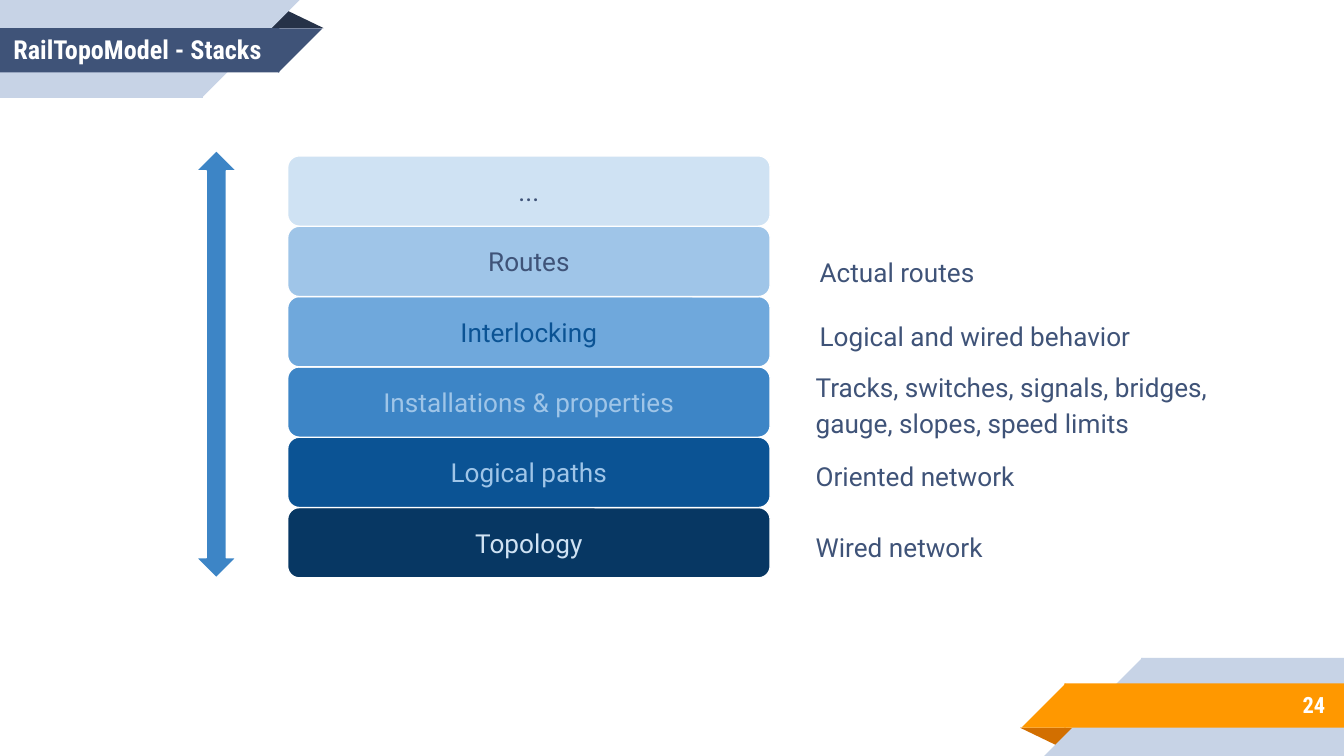
import pptx
import pptx.util
import pptx.dml.color
import pptx.enum.shapes
import pptx.enum.text

Inches = pptx.util.Inches
SHAPE = pptx.enum.shapes.MSO_SHAPE
ALIGN = pptx.enum.text.PP_ALIGN
ANCHOR = pptx.enum.text.MSO_ANCHOR

WIDTH = 10
HEIGHT = WIDTH * 9 / 16
INK, WHITE, PALE = "3F5378", "FFFFFF", "C7D3E6"


def color(code):
    return pptx.dml.color.RGBColor.from_string(code)


def add_shape(page, kind, box, fill, line=None):
    shape = page.shapes.add_shape(kind, *map(Inches, box))
    shape.shadow.inherit = False
    shape.fill.solid()
    shape.fill.fore_color.rgb = color(fill)
    if line:
        shape.line.color.rgb = color(line)
        shape.line.width = pptx.util.Pt(0.75)
    else:
        shape.line.fill.background()
    return shape


def write(shape, text, ink, size=14, name="Roboto", bold=False,
          align=ALIGN.LEFT, anchor=ANCHOR.MIDDLE, spacing=1.0):
    frame = shape.text_frame
    frame.word_wrap = True
    frame.auto_size = pptx.enum.text.MSO_AUTO_SIZE.NONE
    frame.vertical_anchor = anchor
    frame.margin_left = frame.margin_right = Inches(0.1)
    frame.margin_top = frame.margin_bottom = Inches(0.1)
    para = frame.paragraphs[0]
    para.text = text
    para.alignment = align
    para.line_spacing = spacing
    font = para.font
    font.name, font.size, font.bold = name, pptx.util.Pt(size), bold
    font.color.rgb = color(ink)


def add_ribbon(page, band, fold, at_bottom):
    """Corner ribbon at top left, or turned half round into the bottom right."""
    parts = [
        (SHAPE.ISOSCELES_TRIANGLE, (1.98, 0.07, 0.43, 0.14), fold),
        (SHAPE.RECTANGLE, (0, 0, 1.51, 0.73), PALE),
        (SHAPE.RIGHT_TRIANGLE, (1.5, 0, 0.73, 0.73), PALE),
        (SHAPE.RECTANGLE, (0, 0.21, 2.08, 0.33), band),
        (SHAPE.RIGHT_TRIANGLE, (2.07, 0.21, 0.33, 0.33), band),
    ]
    for kind, (left, top, width, height), fill in parts:
        if at_bottom:
            left, top = WIDTH - left - width, HEIGHT - top - height
        shape = add_shape(page, kind, (left, top, width, height), fill)
        if kind == SHAPE.ISOSCELES_TRIANGLE:
            shape.adjustments[0] = 0.324
            shape.rotation = 180 if at_bottom else 0
        elif kind == SHAPE.RIGHT_TRIANGLE:
            shape._element.spPr.xfrm.set("flipH", "1")
            shape.rotation = 0 if at_bottom else 180


def add_title(page, text, box):
    title = page.shapes.title
    title.left, title.top, title.width, title.height = map(Inches, box)
    write(title, text, WHITE, name="Roboto Condensed", bold=True)
    page.shapes._spTree.append(title._element)  # in front of the ribbon


def add_page_number(page, text, box):
    number = page.shapes.add_textbox(*map(Inches, box))
    write(number, text, WHITE, size=12, name="Roboto Condensed", bold=True,
          align=ALIGN.RIGHT)


def add_stack(page, layers, box):
    """Equal layers, listed from the bottom up."""
    left, top, width, height = box
    step = height / len(layers)
    for level, (text, fill, ink) in enumerate(layers, 1):
        layer_box = (left, top + height - level * step, width, step)
        layer = add_shape(page, SHAPE.ROUNDED_RECTANGLE, layer_box, fill, WHITE)
        write(layer, text, ink, align=ALIGN.CENTER)


def add_notes_column(page, notes, left, top):
    for text, indent, drop, width, height in notes:
        note = page.shapes.add_textbox(Inches(left + indent), Inches(top + drop),
                                       Inches(width), Inches(height))
        write(note, text, INK, anchor=ANCHOR.TOP, spacing=1.15)


def main():
    deck = pptx.Presentation()
    deck.slide_width, deck.slide_height = Inches(WIDTH), Inches(HEIGHT)
    page = deck.slides.add_slide(deck.slide_layouts[5])

    # Ribbons with title and page number
    add_ribbon(page, "FF9800", "D26F00", at_bottom=True)
    add_ribbon(page, INK, "263248", at_bottom=False)
    add_page_number(page, "24", (8.33, 5.07, 1.63, 0.35))
    add_title(page, "RailTopoModel - Stacks", (0, 0.14, 2.73, 0.45))

    # Stack of layers: text, fill, ink
    add_stack(page, [
        ("Topology", "073763", "CFE2F3"),
        ("Logical paths", "0B5394", "9FC5E8"),
        ("Installations & properties", "3D85C6", "9FC5E8"),
        ("Interlocking", "6FA8DC", "0B5394"),
        ("Routes", "9FC5E8", INK),
        ("...", "CFE2F3", INK),
    ], (2.14, 1.16, 3.59, 3.14))
    add_shape(page, SHAPE.UP_DOWN_ARROW, (1.46, 1.12, 0.3, 3.18), "3D85C6", WHITE)

    # Explanations: text, indent, drop, width, height
    add_notes_column(page, [
        ("Wired network", 0, 2.05, 1.63, 0.44),
        ("Oriented network", 0, 1.52, 1.81, 0.44),
        ("Tracks, switches, signals, bridges, gauge, slopes, speed limits",
         0, 0.86, 3.59, 0.71),
        ("Logical and wired behavior", 0.03, 0.48, 2.69, 0.44),
        ("Actual routes", 0.03, 0, 1.76, 0.44),
    ], 5.97, 1.77)

    deck.save("out.pptx")


if __name__ == "__main__":
    main()
